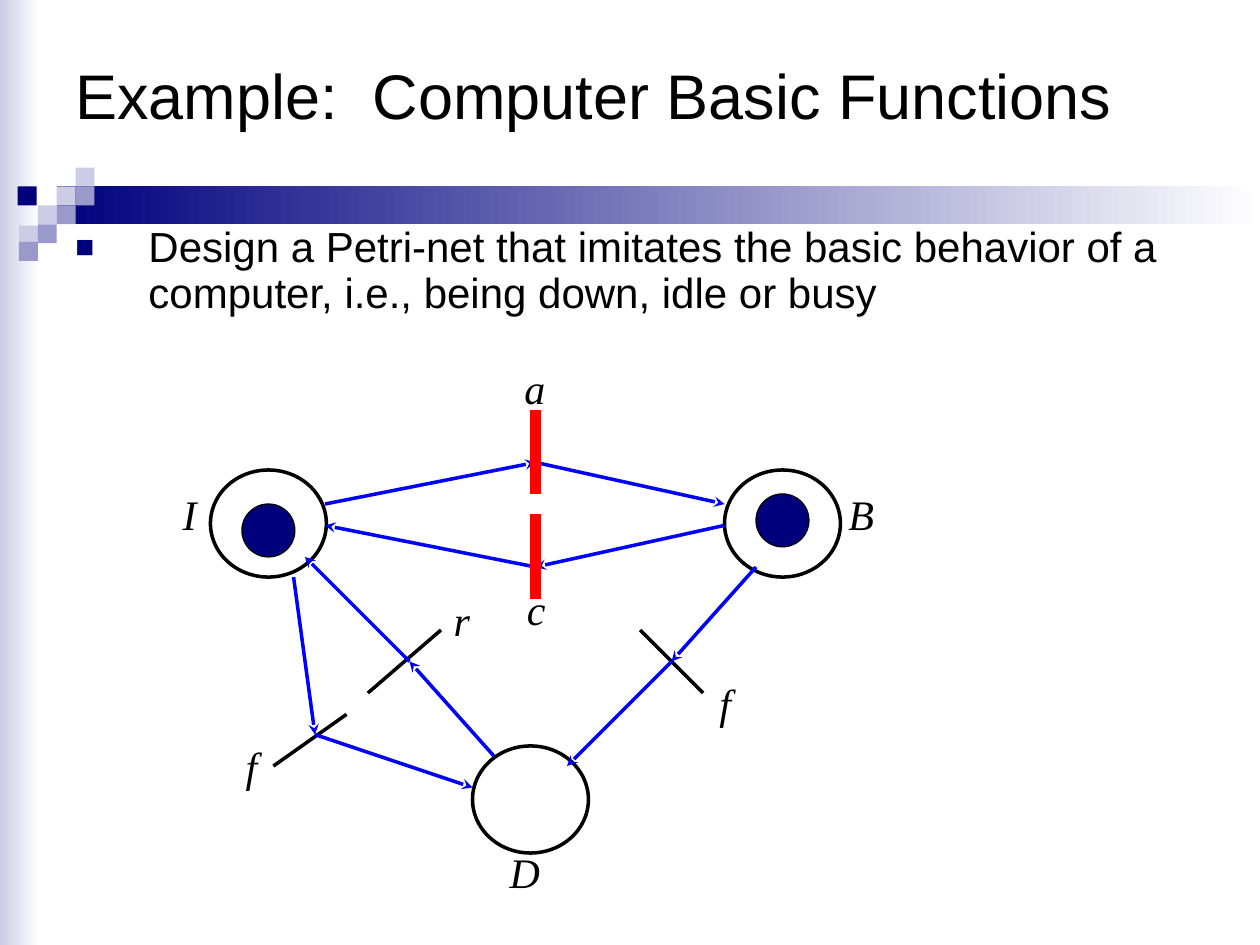
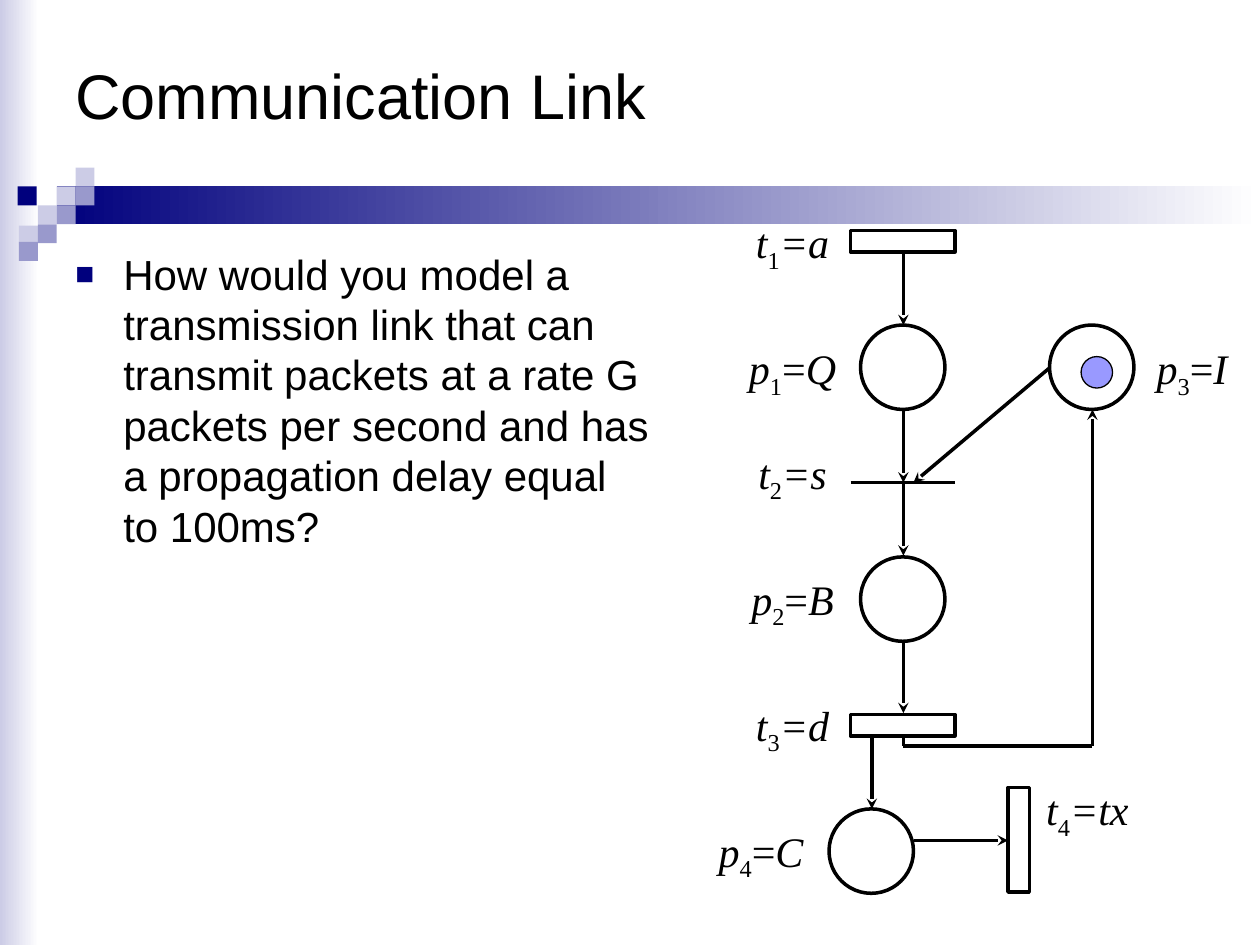
from pptx import Presentation
from pptx.dml.color import RGBColor
from pptx.enum.shapes import MSO_CONNECTOR as Connector, MSO_SHAPE as Shape
from pptx.enum.text import MSO_ANCHOR as Anchor, MSO_AUTO_SIZE as AutoSize, PP_ALIGN as Align
from pptx.oxml.ns import qn
from pptx.util import Inches, Pt
from lxml.etree import SubElement

BLACK = RGBColor(0x00, 0x00, 0x00)
WHITE = RGBColor(0xFF, 0xFF, 0xFF)
NAVY = RGBColor(0x00, 0x00, 0x7D)
LAVENDER = RGBColor(0xCC, 0xCC, 0xE6)
LILAC = RGBColor(0x99, 0x99, 0xCC)
PERIWINKLE = RGBColor(0x99, 0x99, 0xFF)
BLUE = RGBColor(0x00, 0x00, 0xFF)
RED = RGBColor(0xFF, 0x00, 0x00)

TITLE_FONT = {"name": "Arial", "size": Pt(36)}
BODY_FONT = {"name": "Arial", "size": Pt(24)}
LABEL_FONT = {"name": "Times New Roman", "size": Pt(24)}
SQUARE = 0.15
SQUARES = [
    (0.45, 1.48, LAVENDER), (0.6, 1.33, LAVENDER), (0.6, 1.48, LILAC),
    (0.3, 1.63, LAVENDER), (0.14, 1.48, NAVY), (0.45, 1.63, LILAC),
    (0.15, 1.79, LAVENDER), (0.3, 1.78, LILAC), (0.15, 1.92, LILAC),
]


def apply(target, values):
    for name, value in values.items():
        setattr(target, name, value)


def add_figure(slide, kind, box, fill=None, outline=None):
    figure = slide.shapes.add_shape(kind, *map(Inches, box))
    figure.shadow.inherit = False
    if fill is None:
        figure.fill.background()
    else:
        figure.fill.solid()
        figure.fill.fore_color.rgb = fill
    if outline is None:
        figure.line.fill.background()
    else:
        figure.line.color.rgb = BLACK
        figure.line.width = Pt(outline)
    return figure


def add_fade(slide, box, color):
    band = add_figure(slide, Shape.RECTANGLE, box)
    band.fill.gradient()
    band.fill.gradient_angle = 180
    for stop, position, shade in zip(band.fill.gradient_stops, (0, 1), (WHITE, color)):
        stop.position = position
        stop.color.rgb = shade


def add_line(slide, start, end, color=BLACK, width=2, arrow=False):
    line = slide.shapes.add_connector(Connector.STRAIGHT, *map(Inches, start + end))
    line.line.color.rgb = color
    line.line.width = Pt(width)
    if arrow:
        outline = line.line._get_or_add_ln()
        SubElement(outline, qn("a:tailEnd"), type="stealth")
    SubElement(line._element.spPr, qn("a:effectLst"))


def add_arrows(slide, points, color=BLACK):
    for start, end in zip(points, points[1:]):
        add_line(slide, start, end, color, arrow=True)


def add_text(slide, box, spans, font, frame_format, para_format):
    frame = slide.shapes.add_textbox(*map(Inches, box)).text_frame
    apply(frame, {"word_wrap": True, **frame_format})
    para = frame.paragraphs[0]
    apply(para, para_format)
    for text, italic, subscript in spans:
        span = para.add_run()
        span.text = text
        apply(span.font, {**font, "italic": italic})
        span.font.color.rgb = BLACK
        if subscript:
            span._r.get_or_add_rPr().set("baseline", "-25000")
    return para


def add_label(slide, box, spans):
    add_text(slide, box, spans, LABEL_FONT, {"auto_size": AutoSize.SHAPE_TO_FIT_TEXT},
             {"alignment": Align.CENTER, "space_before": Pt(15)})


def add_name(slide, left, top, width, letter):
    add_label(slide, (left, top, width, 0.5), [(letter, True, False)])


def add_place_name(slide, left, top, index, meaning):
    add_label(slide, (left, top, 1.08, 0.56),
              [("p", True, False), (index, False, True), ("=", False, False),
               (meaning, True, False)])


def add_transition_name(slide, left, top, index, meaning):
    add_label(slide, (left, top, 0.92, 0.56),
              [("t", True, False), (index, False, True), ("=" + meaning, True, False)])


def add_bullet(slide, box, text, indent, spacing):
    para = add_text(slide, box, [(text, False, False)], BODY_FONT, {},
                    {"space_before": Pt(6), "line_spacing": spacing})
    properties = para._p.get_or_add_pPr()
    properties.set("marL", str(Inches(indent)))
    properties.set("indent", str(-Inches(indent)))
    color = SubElement(properties, qn("a:buClr"))
    SubElement(color, qn("a:srgbClr"), val=str(NAVY))
    SubElement(properties, qn("a:buSzPct"), val="75000")
    SubElement(properties, qn("a:buFont"), typeface="Arial")
    SubElement(properties, qn("a:buChar"), char="■")


def add_page(deck, title):
    page = deck.slides.add_slide(deck.slide_layouts[6])
    add_fade(page, (0, 0, 0.31, 7.5), LAVENDER)
    add_fade(page, (0.45, 1.48, 9.55, 0.3), NAVY)
    for left, top, color in SQUARES:
        add_figure(page, Shape.RECTANGLE, (left, top, SQUARE, SQUARE), color)
    add_text(page, (0.5, 0, 9, 1.5), [(title, False, False)], TITLE_FONT,
             {"vertical_anchor": Anchor.MIDDLE}, {})
    return page


def build_computer_page(deck):
    page = add_page(deck, "Example:  Computer Basic Functions")
    add_bullet(page, (0.5, 1.75, 9, 0.83),
               "Design a Petri-net that imitates the basic behavior of a computer, "
               "i.e., being down, idle or busy", 0.58, 0.9)

    for left, top in [(6, 3.92), (1.92, 4)]:
        add_figure(page, Shape.OVAL, (left, top, 0.42, 0.42), NAVY, 0.75)
    for left, top in [(3.75, 5.92), (1.67, 3.73), (5.75, 3.73)]:
        add_figure(page, Shape.OVAL, (left, top, 0.92, 0.85), outline=2)

    for start, end in [((2.75, 5.67), (2.17, 6.08)), ((3.5, 5), (2.92, 5.5)),
                       ((5.58, 5.5), (5.08, 5))]:
        add_line(page, start, end)
    routes = [
        [(2.58, 4), (4.25, 3.67), (5.75, 4)],
        [(5.75, 4.17), (4.25, 4.5), (2.58, 4.17)],
        [(2.33, 4.58), (2.5, 5.83), (3.75, 6.25)],
        [(3.92, 6), (3.25, 5.25), (2.42, 4.42)],
        [(6, 4.5), (5.33, 5.25), (4.5, 6.08)],
    ]
    for route in routes:
        add_arrows(page, route, BLUE)
    for top in (3.25, 4.08):
        add_line(page, (4.25, top), (4.25, top + 0.67), RED, 6)

    names = [
        (3.42, 4.58, 1.67, "c"), (3.33, 6.67, 1.67, "D"), (0.67, 3.83, 1.67, "I"),
        (6, 3.83, 1.67, "B"), (1.58, 5.83, 0.83, "f"), (3.25, 4.67, 0.83, "r"),
        (3.83, 2.83, 0.83, "a"), (4.92, 5.33, 1.67, "f"),
    ]
    for name in names:
        add_name(page, *name)


def build_link_page(deck):
    page = add_page(deck, "Communication Link")
    add_bullet(page, (0.5, 1.92, 4.75, 3),
               "How would you model a transmission link that can transmit packets at a "
               "rate G packets per second and has a propagation delay equal to 100ms?",
               0.38, 1.0)

    for top in (2, 3.25, 3.83, 5.08):
        add_arrows(page, [(7.17, top), (7.17, top + 0.58)])
    add_arrows(page, [(8.33, 2.92), (7.25, 3.83)])
    add_arrows(page, [(8.67, 5.92), (8.67, 3.25)])
    add_arrows(page, [(6.92, 5.83), (6.92, 6.42)])
    add_arrows(page, [(7.25, 6.67), (8, 6.67)])
    for start, end in [((6.75, 3.83), (7.58, 3.83)), ((7.17, 5.67), (7.17, 5.92)),
                       ((7.17, 5.92), (8.67, 5.92))]:
        add_line(page, start, end)

    for left, top in [(6.83, 2.58), (8.33, 2.58), (6.83, 4.42), (6.58, 6.42)]:
        add_figure(page, Shape.OVAL, (left, top, 0.67, 0.67), WHITE, 2)
    add_figure(page, Shape.OVAL, (8.58, 2.83, 0.25, 0.25), PERIWINKLE, 0.75)
    for box in [(6.75, 1.83, 0.83, 0.17), (6.75, 5.67, 0.83, 0.17), (8, 6.25, 0.17, 0.83)]:
        add_figure(page, Shape.RECTANGLE, box, WHITE, 2)

    for place in [(5.75, 2.67, "1", "Q"), (5.75, 4.5, "2", "B"),
                  (8.92, 2.67, "3", "I"), (5.5, 6.5, "4", "C")]:
        add_place_name(page, *place)
    for transition in [(5.83, 1.67, "1", "a"), (5.83, 3.5, "2", "s"),
                       (5.83, 5.5, "3", "d"), (8.17, 6.17, "4", "tx")]:
        add_transition_name(page, *transition)


def main():
    deck = Presentation()
    apply(deck, {"slide_width": Inches(10), "slide_height": Inches(7.5)})
    build_computer_page(deck)
    build_link_page(deck)
    deck.save("out.pptx")


main()
